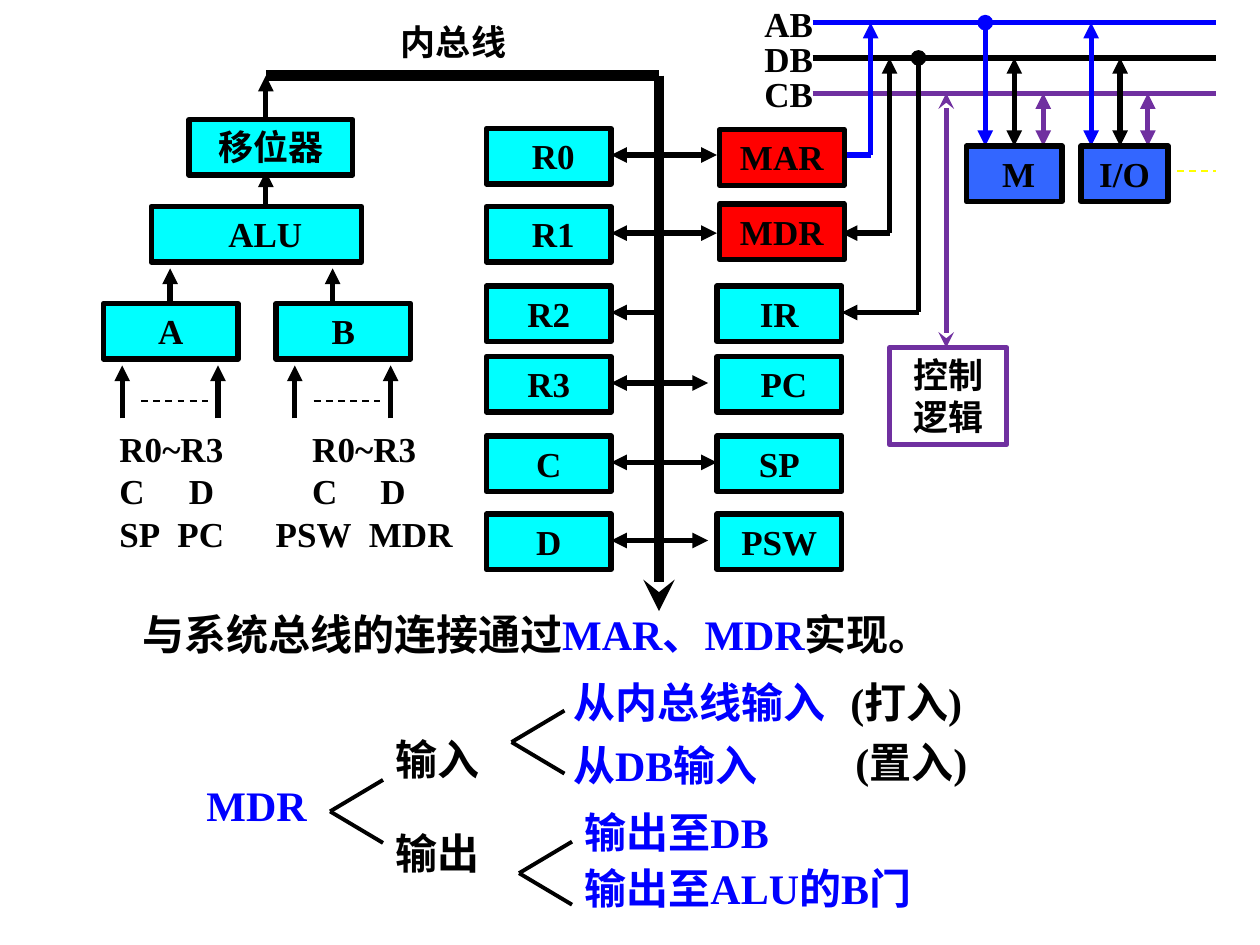
from dataclasses import dataclass
from typing import NamedTuple

from lxml.etree import SubElement
from pptx import Presentation
from pptx.dml.color import RGBColor
from pptx.enum.shapes import MSO_CONNECTOR as Connector, MSO_SHAPE as Shape
from pptx.enum.text import MSO_ANCHOR as Anchor, MSO_AUTO_SIZE as AutoSize, PP_ALIGN as Align
from pptx.oxml.ns import qn
from pptx.util import Inches, Pt


@dataclass(frozen=True)
class Theme:
    font: str = "Times New Roman"
    label: int = 20
    body: int = 24
    black: str = "000000"
    blue: str = "0000FF"
    purple: str = "7030A0"
    cyan: str = "00FFFF"
    red: str = "FF0000"
    device: str = "3366FF"
    yellow: str = "FFFF00"
    hair: float = 1
    brace: float = 2.25
    wire: float = 3
    bus: float = 6


THEME = Theme()
COLUMNS, ROWS = 100, 75
WIDTH, HEIGHT = Inches(10), Inches(7.5)

deck = Presentation()
deck.slide_width, deck.slide_height = WIDTH, HEIGHT
page = deck.slides.add_slide(deck.slide_layouts[6])


class Block(NamedTuple):
    """A captioned rectangle; shift moves the caption's centre to the right."""
    name: str
    left: float
    top: float
    width: float = 9.9
    height: float = 4.4
    fill: str | None = THEME.cyan
    line: str = THEME.black
    shift: float = 0


class Wire(NamedTuple):
    x1: float
    y1: float
    x2: float
    y2: float
    color: str = THEME.black
    head: str | None = None
    tail: str | None = None
    weight: float = THEME.wire
    dashed: bool = False


class Label(NamedTuple):
    spans: tuple[tuple[str, str], ...]
    left: float
    top: float
    width: float
    size: int = THEME.body
    align: Align = Align.LEFT


class Register(NamedTuple):
    left_name: str
    right_name: str | None
    top: float
    reach: float
    left_shift: float = 0
    right_shift: float = 0


def col(count: float) -> int:
    return round(WIDTH * count / COLUMNS)


def row(count: float) -> int:
    return round(HEIGHT * count / ROWS)


def rgb(color: str) -> RGBColor:
    return RGBColor.from_string(color)


def style(para, size: int, color: str, align: Align) -> None:
    para.alignment = align
    para.font.name, para.font.size, para.font.bold = THEME.font, Pt(size), True
    para.font.color.rgb = rgb(color)


def add_box(left: float, top: float, width: float, height: float):
    box = page.shapes.add_textbox(col(left), row(top), col(width), row(height))
    box.text_frame.word_wrap = True
    box.text_frame.auto_size = AutoSize.SHAPE_TO_FIT_TEXT
    return box


def draw_wire(wire: Wire) -> None:
    line = page.shapes.add_connector(Connector.STRAIGHT, col(wire.x1), row(wire.y1),
                                     col(wire.x2), row(wire.y2))
    line.line.color.rgb, line.line.width = rgb(wire.color), Pt(wire.weight)
    outline = line.line._get_or_add_ln()
    if wire.dashed:
        SubElement(outline, qn("a:prstDash"), val="dash")
    for tag, kind in (("a:headEnd", wire.head), ("a:tailEnd", wire.tail)):
        if kind:
            SubElement(outline, qn(tag), type=kind)
    SubElement(line._element.spPr, qn("a:effectLst"))


def draw_block(block: Block) -> None:
    shape = page.shapes.add_shape(Shape.RECTANGLE, col(block.left), row(block.top),
                                  col(block.width), row(block.height))
    shape.shadow.inherit = False
    if block.fill:
        shape.fill.solid()
        shape.fill.fore_color.rgb = rgb(block.fill)
    else:
        shape.fill.background()
    shape.line.color.rgb, shape.line.width = rgb(block.line), Pt(THEME.wire)
    frame = shape.text_frame
    frame.word_wrap, frame.vertical_anchor = True, Anchor.TOP
    frame.auto_size = AutoSize.SHAPE_TO_FIT_TEXT
    frame.margin_left = col(1 + 2 * block.shift)
    frame.text = block.name
    style(frame.paragraphs[0], THEME.label, THEME.black, Align.CENTER)


def draw_label(label: Label) -> None:
    height = 5 if label.size == THEME.body else 4.4
    para = add_box(label.left, label.top, label.width, height).text_frame.paragraphs[0]
    style(para, label.size, label.spans[0][1], label.align)
    for text, color in label.spans:
        span = para.add_run()
        span.text = text
        if len(label.spans) > 1:
            span.font.color.rgb = rgb(color)


def draw_fork(x: float, y: float) -> None:
    for end in (y - 2.5, y + 2.5):
        draw_wire(Wire(x, y, x + 4.2, end, weight=THEME.brace))


def draw_sources(left: float, top: float, lines: tuple) -> None:
    """Lines of names, each with its own tab stops, given as page columns."""
    frame = add_box(left - 1, top, 29.3, 10.4).text_frame
    for index, (text, stops) in enumerate(lines):
        para = frame.add_paragraph() if index else frame.paragraphs[0]
        tabs = SubElement(para._p.get_or_add_pPr(), qn("a:tabLst"))
        for stop in stops:
            SubElement(tabs, qn("a:tab"), pos=str(col(stop - left)), algn="l")
        para.text, para.line_spacing = text, 0.6
        if index:
            para.space_before = Pt(THEME.label / 2)
        style(para, THEME.label, THEME.black, Align.LEFT)


REGISTERS = (
    Register("R0", None, 10.2, 56.9, left_shift=0.35),
    Register("R1", None, 16.4, 56.9, left_shift=0.35),
    Register("R2", "IR", 22.7, 52.4),
    Register("R3", "PC", 28.3, 56.2, right_shift=0.35),
    Register("C", "SP", 34.6, 56.9),
    Register("D", "PSW", 40.8, 56.2),
)
ARROW = "triangle"
BLACK, BLUE, PURPLE = THEME.black, THEME.blue, THEME.purple

# Arithmetic unit: upward arrows and dashed input ranges
for x, bottom, tip in ((13.5, 24.1, 21.3), (26.4, 24.1, 21.3), (21.1, 16.4, 13.6),
                       (21.1, 9.5, 6), (9.7, 33.2, 29), (17.3, 33.2, 29),
                       (23.4, 33.2, 29), (31, 33.2, 29)):
    draw_wire(Wire(x, bottom, x, tip, tail=ARROW))
for x in (11.2, 24.9):
    draw_wire(Wire(x, 31.8, x + 5.3, 31.8, weight=THEME.hair, dashed=True))
for block in (Block("移位器", 15, 9.5, 13), Block("ALU", 12, 16.4, 16.7, shift=0.7),
              Block("A", 8.2, 24.1, 10.7), Block("B", 21.9, 24.1, 10.7)):
    draw_block(block)
draw_sources(9.5, 34.6, (("R0~R3\tR0~R3", (24.8,)),
                         ("C\tD\tC\tD", (15, 24.8, 30.2)),
                         ("SP\tPC\tPSW\tMDR", (14.1, 21.9, 29.3))))

# Internal bus and the registers on both sides
draw_wire(Wire(21.1, 6, 52.3, 6, weight=THEME.bus))
draw_wire(Wire(52.3, 6, 52.3, 48.5, tail="stealth", weight=THEME.bus))
for register in REGISTERS:
    y = register.top + 2.1
    head = ARROW if register.reach > 52.4 else None
    draw_wire(Wire(register.reach, y, 48.5, y, head=head, tail=ARROW))
    draw_block(Block(register.left_name, 38.6, register.top, shift=register.left_shift))
    if register.right_name:
        draw_block(Block(register.right_name, 56.9, register.top, shift=register.right_shift))

# System bus lines and their names
for name, y, color in (("AB", 1.8, BLUE), ("DB", 4.6, BLACK), ("CB", 7.4, PURPLE)):
    draw_wire(Wire(64.5, y, 96.5, y, color))
    draw_label(Label(((name, BLACK),), 58.4, y - 2.1, 8.4, THEME.label, Align.CENTER))
draw_label(Label((("内总线", BLACK),), 28, 1.1, 16, THEME.label, Align.CENTER))

# Links from the system bus to devices, registers and control
for x, y, color, head in ((78.2, 1.8, BLUE, "oval"), (80.5, 4.6, BLACK, ARROW),
                          (82.8, 7.4, PURPLE, ARROW), (86.6, 1.8, BLUE, ARROW),
                          (88.9, 4.6, BLACK, ARROW), (91.1, 7.4, PURPLE, ARROW)):
    draw_wire(Wire(x, y, x, 11.6, color, head, ARROW))
for wire in (Wire(66.8, 12.3, 69.1, 12.3, BLUE), Wire(69.1, 12.3, 69.1, 1.8, BLUE, tail=ARROW),
             Wire(70.6, 18.5, 66.8, 18.5, tail=ARROW), Wire(70.6, 18.5, 70.6, 4.6, tail=ARROW),
             Wire(72.9, 4.6, 72.9, 24.8, head="oval"), Wire(72.9, 24.8, 66.8, 24.8, tail=ARROW),
             Wire(75.1, 7.4, 75.1, 27.6, PURPLE, "stealth", "stealth"),
             Wire(93.4, 13.6, 96.5, 13.6, THEME.yellow, weight=THEME.hair, dashed=True)):
    draw_wire(wire)
for block in (Block("M", 76.7, 11.6, 7.6, fill=THEME.device, shift=0.35),
              Block("I/O", 85.8, 11.6, 6.9, fill=THEME.device),
              Block("控制逻辑", 70.6, 27.6, 9.3, 7.7, None, PURPLE),
              Block("MAR", 57.1, 10.3, fill=THEME.red),
              Block("MDR", 57.1, 16.2, fill=THEME.red)):
    draw_block(block)

# Summary and the tree of MDR transfers
draw_label(Label((("与系统总线的连接通过", BLACK), ("MAR、MDR", BLUE), ("实现。", BLACK)),
                 10.3, 47.8, 67.2))
for text, color, left, top, width in (
        ("MDR", BLUE, 15.4, 61.4, 11.7),
        ("输入", BLACK, 30.4, 57.7, 21.7), ("输出", BLACK, 30.4, 65.2, 30.8),
        ("从内总线输入", BLUE, 44.5, 53.2, 35.8), ("从DB输入", BLUE, 44.5, 58.2, 35.8),
        ("(打入)", BLACK, 66.5, 53.2, 13.3), ("(置入)", BLACK, 66.9, 58, 13),
        ("输出至DB", BLUE, 45.4, 63.5, 35.8), ("输出至ALU的B门", BLUE, 45.4, 68, 35.8)):
    draw_label(Label(((text, color),), left, top, width))
for x, y in ((26.2, 64.4), (40.6, 58.9), (41.2, 69.3)):
    draw_fork(x, y)

deck.save("out.pptx")
